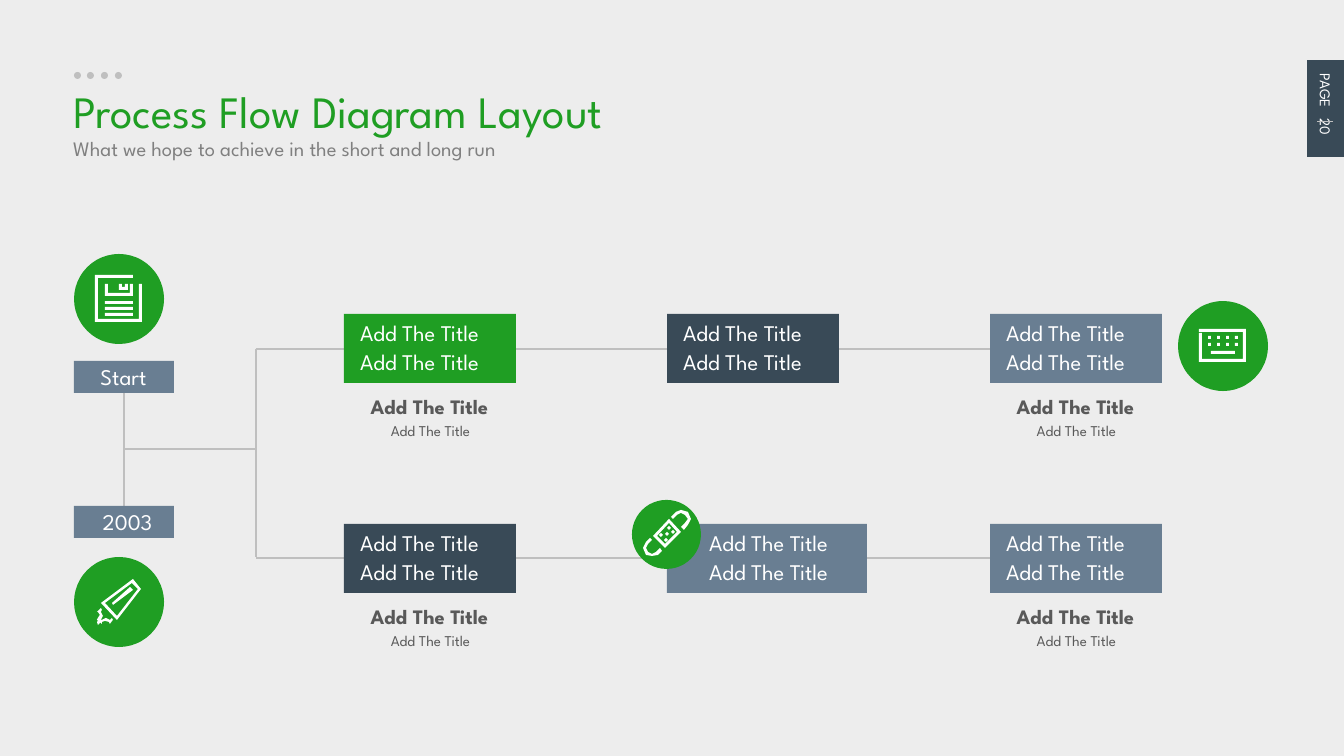
import pptx
import pptx.util
import pptx.dml.color
import pptx.enum.shapes
import pptx.enum.text
import pptx.oxml
import pptx.oxml.ns
import lxml.etree

PX = 914400 / 134.4
FONT = "League Spartan"
COLORS = {
    "background": "EDEDED", "green": "1F9E23", "navy": "394A57", "slate": "697E92",
    "rule": "BFBFBF", "notch": "28333C", "subtitle": "808080", "caption": "595959",
    "white": "FFFFFF",
}
RECT = pptx.enum.shapes.MSO_SHAPE.RECTANGLE
OVAL = pptx.enum.shapes.MSO_SHAPE.OVAL
LEFT = pptx.enum.text.PP_ALIGN.LEFT
CENTER = pptx.enum.text.PP_ALIGN.CENTER

deck = pptx.Presentation()
deck.slide_width = round(1344 * PX)
deck.slide_height = round(756 * PX)
slide = deck.slides.add_slide(deck.slide_layouts[5])
slide.background.fill.solid()
slide.background.fill.fore_color.rgb = pptx.dml.color.RGBColor.from_string(COLORS["background"])


def add_block(kind, x, y, w, h, color):
    block = slide.shapes.add_shape(kind, *[round(v * PX) for v in (x, y, w, h)])
    block.shadow.inherit = False
    block.fill.solid()
    block.fill.fore_color.rgb = pptx.dml.color.RGBColor.from_string(COLORS[color])
    block.line.fill.background()


def add_label(text, x, y, w, h, size, color, align=LEFT, bold=False, holder=None):
    label = holder or slide.shapes.add_textbox(0, 0, 0, 0)
    label.left, label.top, label.width, label.height = [round(v * PX) for v in (x, y, w, h)]
    frame = label.text_frame
    frame.word_wrap = False
    frame.auto_size = pptx.enum.text.MSO_AUTO_SIZE.NONE
    frame.vertical_anchor = pptx.enum.text.MSO_ANCHOR.TOP
    frame.paragraphs[0].alignment = align
    run = frame.paragraphs[0].add_run()
    run.text = text
    run.font.name = FONT
    run.font.size = pptx.util.Pt(size)
    run.font.bold = bold
    run.font.color.rgb = pptx.dml.color.RGBColor.from_string(COLORS[color])
    return label


for i in range(4):
    add_block(OVAL, 74 + 41 * i // 3, 72, 7, 7, "rule")
add_label("Process Flow Diagram Layout", 60, 77, 667, 67, 24, "green", holder=slide.shapes.title)
add_label("What we hope to achieve in the short and long run", 60, 129, 540, 39, 11, "subtitle")

add_block(RECT, 1307, 60, 37, 97, "navy")
page = add_label("PAGE\t20", 1277, 93, 97, 32, 8, "white")
page.rotation = 90
page.text_frame.word_wrap = True
tabs = lxml.etree.SubElement(page.text_frame.paragraphs[0]._p.get_or_add_pPr(),
                             pptx.oxml.ns.qn("a:tabLst"))
lxml.etree.SubElement(tabs, pptx.oxml.ns.qn("a:tab"), pos=str(round(45 * PX)), algn="l")

for x1, y1, x2, y2, color, width in [
    (1317, 121, 1333, 121, "notch", 0.25),
    (1317, 121, 1333, 121, "rule", 0.25),
    (124, 392, 124, 506, "rule", 0.75),
    (124, 449, 256, 449, "rule", 0.75),
    (256, 349, 256, 557, "rule", 0.75),
    (256, 349, 1120, 349, "rule", 0.75),
    (256, 558, 1120, 558, "rule", 0.75),
]:
    rule = slide.shapes.add_connector(pptx.enum.shapes.MSO_CONNECTOR.STRAIGHT,
                                      *[round(v * PX) for v in (x1, y1, x2, y2)])
    rule.line.color.rgb = pptx.dml.color.RGBColor.from_string(COLORS[color])
    rule.line.width = pptx.util.Pt(width)
    lxml.etree.SubElement(rule._element.spPr, pptx.oxml.ns.qn("a:effectLst"))

for text, top, x, w in [("Start", 361, 82, 83), ("2003", 506, 89, 77)]:
    add_block(RECT, 74, top, 100, 32, "slate")
    add_label(text, x, top - 4, w, 40, 12, "white", CENTER)

for column, row, color, width, indent, captioned in [
    (0, 0, "green", 172, 0, True),
    (1, 0, "navy", 172, 0, False),
    (2, 0, "slate", 172, 0, True),
    (0, 1, "navy", 172, 0, True),
    (1, 1, "slate", 200, 26, False),
    (2, 1, "slate", 172, 0, True),
]:
    x, y = 344 + 323 * column, 314 + 210 * row
    add_block(RECT, x, y, width, 69, color)
    for offset in (-1, 28):
        add_label("Add The Title", x + 3 + indent, y + offset, 167, 40, 12, "white")
    if captioned:
        add_label("Add The Title", x + 8, y + 73, 155, 39, 11, "caption", CENTER, True)
        add_label("Add The Title", x + 26, y + 101, 121, 32, 8, "caption", CENTER)

for x, y, size in [(74, 254, 90), (74, 557, 90), (1178, 301, 90), (632, 500, 69)]:
    add_block(OVAL, x, y, size, size, "green")

for i in range(3):
    add_block(RECT, 105, 301 + 6 * i, 28, 3, "white")
for i in range(8):
    add_block(RECT, 1208 + 9 * (i % 4), 336 + 7 * (i // 4), 3, 3, "white")
add_block(RECT, 1211, 351, 24, 3, "white")

disk = [
    [[(142, 322), (95, 322), (95, 275), (133, 275), (133, 278), (98, 278), (98, 319),
      (139, 319), (139, 284), (142, 284)]],
    [[(133, 296), (105, 296), (105, 284), (108, 284), (108, 293), (130, 293), (130, 284),
      (133, 284)]],
    [[(128, 290), (119, 290), (119, 284), (122, 284), (122, 287), (125, 287), (125, 284),
      (128, 284)]],
]
marker = [
    [[(117, 620), (101, 603), (133, 579), (141, 589)],
     [(105, 603), (117, 616), (138, 589), (132, 583)]],
    [[(113, 605), (112, 603), (130, 587), (133, 590)]],
    [[(102, 624), (97, 620), (98, 618), (100, 615), (98, 612), (97, 612), (101, 608),
      (102, 610), (101, 612), (103, 616), (101, 620), (102, 620), (106, 618), (110, 620),
      (112, 618), (113, 620), (110, 624), (109, 622), (105, 621), (102, 622)]],
    [[(98, 625), (97, 622), (99, 620), (102, 621)]],
]
keyboard = [
    [[(1246, 362), (1199, 362), (1199, 333), (1202, 333), (1202, 359), (1243, 359),
      (1243, 332), (1199, 332), (1199, 329), (1246, 329)]],
]
bandage = [
    [[(665, 548), (653, 536), (669, 519), (681, 532)],
     [(657, 536), (665, 544), (677, 532), (669, 523)]],
    [[(652, 556), (646, 555), (643, 548), (646, 542), (650, 538), (652, 540), (648, 544),
      (646, 548), (648, 552), (652, 554), (656, 552), (660, 548), (662, 551), (658, 555)]],
    [[(684, 530), (681, 527), (685, 523), (688, 519), (685, 515), (681, 513), (677, 515),
      (673, 519), (671, 517), (676, 512), (681, 510), (688, 512), (691, 519), (688, 525)]],
]
for x, y in [(661, 535), (667, 534), (669, 528), (666, 540), (673, 532)]:
    bandage.append([[(x, y + 2), (x - 2, y), (x, y - 2), (x + 2, y)]])

for outlines in disk + marker + keyboard + bandage:
    builder = slide.shapes.build_freeform(*outlines[0][0], scale=PX)
    builder.add_line_segments(outlines[0][1:], close=True)
    for hole in outlines[1:]:
        builder.move_to(*hole[0])
        builder.add_line_segments(hole[1:], close=True)
    stroke = builder.convert_to_shape()
    stroke.shadow.inherit = False
    stroke.fill.solid()
    stroke.fill.fore_color.rgb = pptx.dml.color.RGBColor.from_string(COLORS["white"])
    stroke.line.fill.background()

deck.save("out.pptx")
